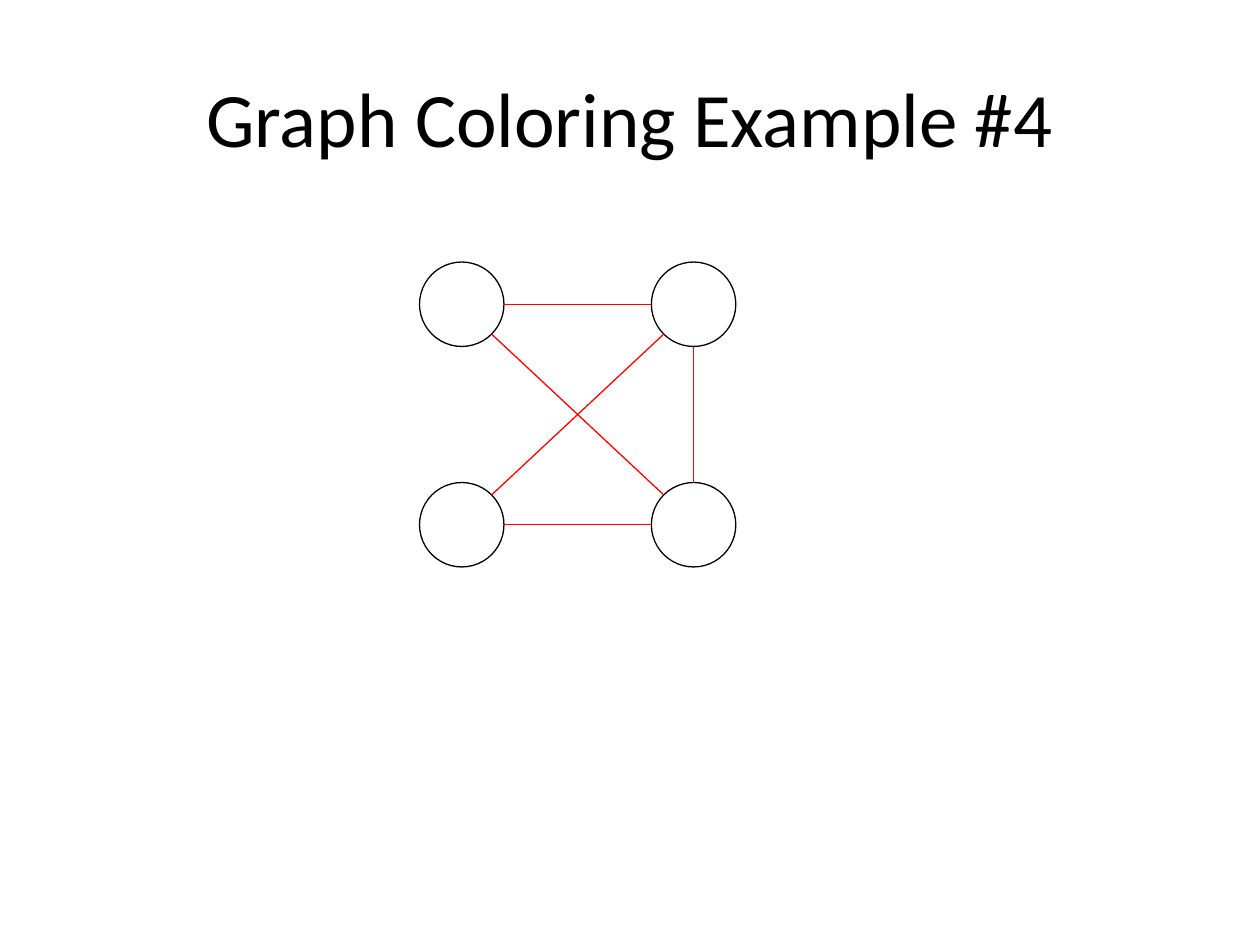
import math

from pptx import Presentation
from pptx import util as u
from pptx.dml.color import RGBColor
from pptx.enum import shapes, text
from pptx.oxml.ns import qn
from lxml import etree

COLORS = {"text": "000000", "node": "000000", "edge": "FF0000"}
DIAMETER = 0.67
COLUMNS = {"left": 3.33, "right": 5.17}
ROWS = {"top": 2.08, "bottom": 3.83}
EDGES = [
    (("left", "top"), ("right", "top")),
    (("left", "bottom"), ("right", "top")),
    (("left", "bottom"), ("right", "bottom")),
    (("left", "top"), ("right", "bottom")),
    (("right", "top"), ("right", "bottom")),
]


def write_text(shape, content, size, color, font="Calibri", align=text.PP_ALIGN.CENTER):
    """Write one formatted paragraph into a shape."""
    frame = shape.text_frame
    frame.word_wrap = True
    frame.vertical_anchor = text.MSO_ANCHOR.MIDDLE
    paragraph = frame.paragraphs[0]
    paragraph.alignment = align
    run = paragraph.add_run()
    run.text = content
    run.font.name = font
    run.font.size = u.Pt(size)
    run.font.color.rgb = RGBColor.from_string(color)


def format_line(line, color):
    """Give an outline or edge its colour and width."""
    line.color.rgb = RGBColor.from_string(color)
    line.width = u.Pt(0.75)


def add_title(slide, content):
    """Place and fill the title placeholder."""
    title = slide.shapes.title
    title.left, title.top = u.Inches(0.5), u.Inches(0.3)
    title.width, title.height = u.Inches(9), u.Inches(1.25)
    write_text(title, content, size=44, color=COLORS["text"])


def add_node(slide, left, top):
    """Draw an uncoloured graph node."""
    node = slide.shapes.add_shape(
        shapes.MSO_SHAPE.OVAL, u.Inches(left), u.Inches(top), u.Inches(DIAMETER), u.Inches(DIAMETER)
    )
    node.shadow.inherit = False
    node.fill.background()
    format_line(node.line, COLORS["node"])


def rim_point(node, other):
    """Return the point on a node's rim that faces another node."""
    step_x = math.copysign(1, COLUMNS[other[0]] - COLUMNS[node[0]]) if node[0] != other[0] else 0
    step_y = math.copysign(1, ROWS[other[1]] - ROWS[node[1]]) if node[1] != other[1] else 0
    radius = DIAMETER / 2
    reach = radius / math.hypot(step_x, step_y)
    return (
        u.Inches(COLUMNS[node[0]] + radius + step_x * reach),
        u.Inches(ROWS[node[1]] + radius + step_y * reach),
    )


def add_edge(slide, start, end):
    """Draw an edge between the rims of two nodes."""
    edge = slide.shapes.add_connector(
        shapes.MSO_CONNECTOR.STRAIGHT, *rim_point(start, end), *rim_point(end, start)
    )
    format_line(edge.line, COLORS["edge"])
    etree.SubElement(edge._element.spPr, qn("a:effectLst"))


def main():
    """Build the slide and save it."""
    presentation = Presentation()
    presentation.slide_width, presentation.slide_height = u.Inches(10), u.Inches(7.5)
    slide = presentation.slides.add_slide(presentation.slide_layouts[5])
    add_title(slide, "Graph Coloring Example #4")
    for top in ROWS.values():
        for left in COLUMNS.values():
            add_node(slide, left, top)
    for start, end in EDGES:
        add_edge(slide, start, end)
    presentation.save("out.pptx")


if __name__ == "__main__":
    main()
